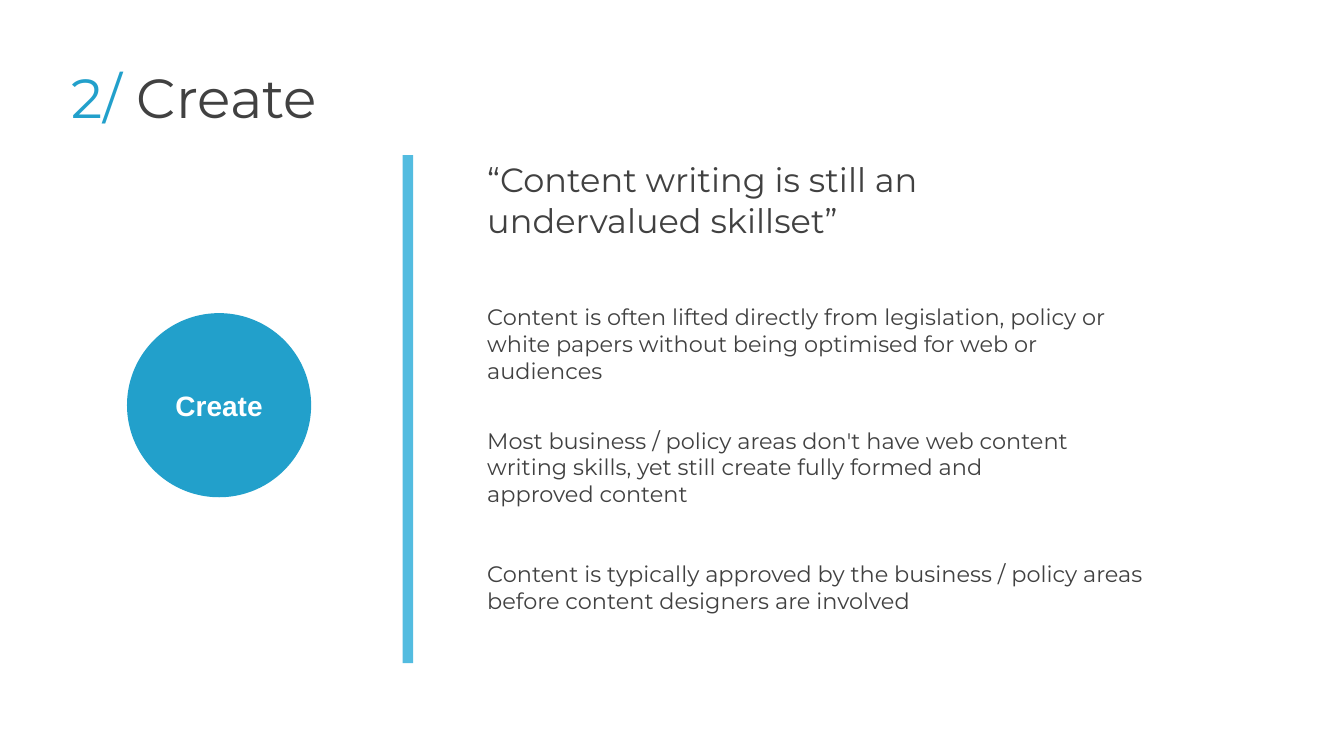
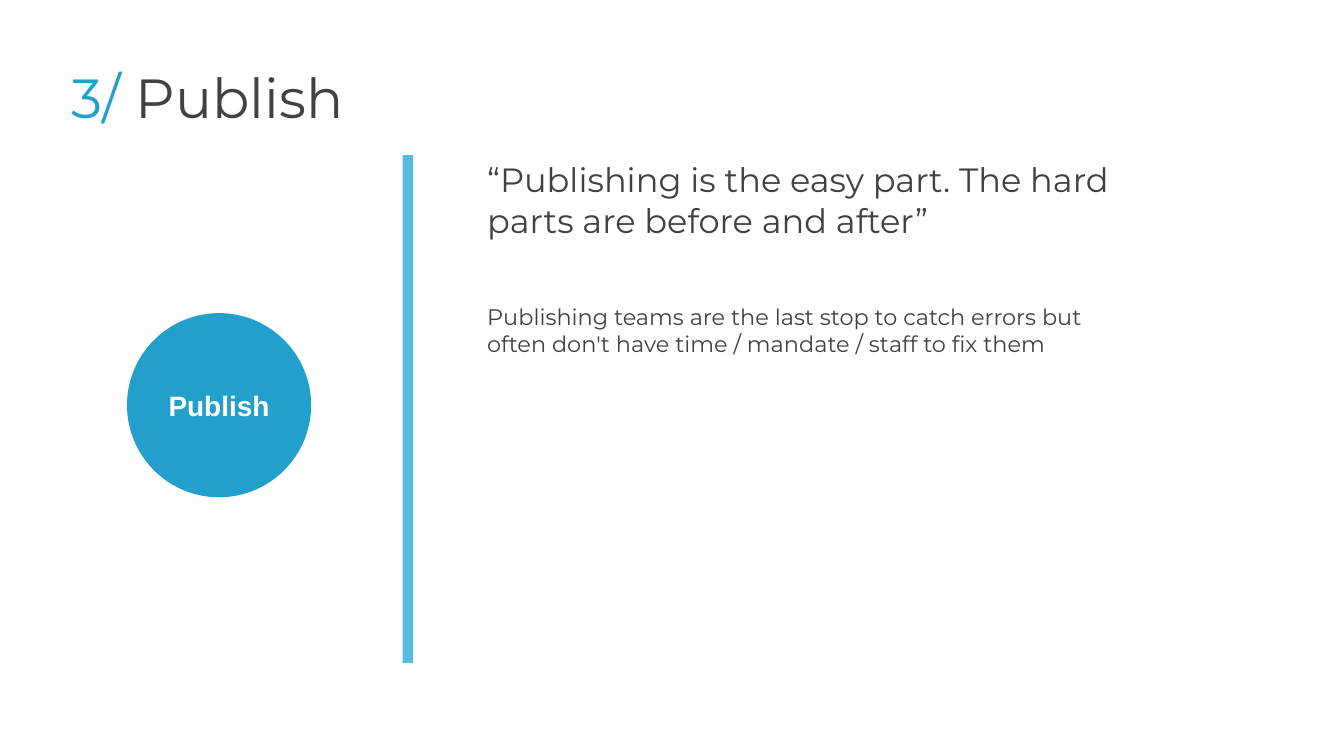
from pptx import Presentation
from pptx.dml.color import RGBColor
from pptx.enum.shapes import MSO_SHAPE
from pptx.enum.text import MSO_ANCHOR, PP_ALIGN
from pptx.util import Pt

STAGES = [
    {
        "number": "2/ ",
        "name": "Create",
        "quote": "“Content writing is still an undervalued skillset”",
        "findings": [
            "Content is often lifted directly from legislation, policy or white papers "
            "without being optimised for web or audiences",
            "Most business / policy areas don't have web content writing skills, "
            "yet still create fully formed and approved content",
            "Content is typically approved by the business / policy areas "
            "before content designers are involved",
        ],
    },
    {
        "number": "3/ ",
        "name": "Publish",
        "quote": "“Publishing is the easy part. The hard parts are before and after”",
        "findings": [
            "Publishing teams are the last stop to catch errors but often don't have "
            "time / mandate / staff to fix them",
        ],
    },
]

COLORS = {"bar": "53BCE0", "accent": "22A0CB", "text": "414141", "white": "FFFFFF"}
HEADING_FONT = "Montserrat"
LABEL_FONT = "Arial"

SLIDE_SIZE = (1440, 810)
TITLE_BOX = (74.2, 64.8, 876.2, 80)
BAR_BOX = (431.3, 166.3, 11.5, 544.3)
CIRCLE_BOX = (136.1, 335.5, 197.3, 197.3)
LABEL_HEIGHT = 71.3
TEXT_LEFT = 519.1
QUOTE_BOX = (TEXT_LEFT, 167.8, 691.2, 159.1)
FINDING_BOXES = [
    (TEXT_LEFT, 321.8, 673.9, 109.4),
    (TEXT_LEFT, 454.3, 638.6, 103.7),
    (TEXT_LEFT, 596.9, 709.2, 79.9),
]


def color(name):
    return RGBColor.from_string(COLORS[name])


def add_block(slide, kind, box, fill):
    shape = slide.shapes.add_shape(kind, *map(Pt, box))
    shape.shadow.inherit = False
    shape.fill.solid()
    shape.fill.fore_color.rgb = color(fill)
    shape.line.fill.background()


def add_text(slide, box, runs, size, font=HEADING_FONT, inset=2.9):
    frame = slide.shapes.add_textbox(*map(Pt, box)).text_frame
    frame.word_wrap = True
    frame.margin_left = frame.margin_right = Pt(inset)
    frame.margin_top = frame.margin_bottom = Pt(inset)
    paragraph = frame.paragraphs[0]
    paragraph.font.size = Pt(size)
    paragraph.font.name = font
    for text, run_color in runs:
        run = paragraph.add_run()
        run.text = text
        run.font.color.rgb = color(run_color)
    return frame


def add_label(slide, name):
    left, top, width, height = CIRCLE_BOX
    box = (left, top + (height - LABEL_HEIGHT) / 2, width, LABEL_HEIGHT)
    frame = add_text(slide, box, [(name, "white")], 30, LABEL_FONT, inset=7.2)
    frame.vertical_anchor = MSO_ANCHOR.MIDDLE
    frame.paragraphs[0].alignment = PP_ALIGN.CENTER
    frame.paragraphs[0].font.bold = True


def add_stage(presentation, stage):
    slide = presentation.slides.add_slide(presentation.slide_layouts[6])
    add_block(slide, MSO_SHAPE.RECTANGLE, BAR_BOX, "bar")
    title = [(stage["number"], "accent"), (stage["name"], "text")]
    add_text(slide, TITLE_BOX, title, 59)
    add_block(slide, MSO_SHAPE.OVAL, CIRCLE_BOX, "accent")
    add_label(slide, stage["name"])
    add_text(slide, QUOTE_BOX, [(stage["quote"], "text")], 36)
    for box, finding in zip(FINDING_BOXES, stage["findings"]):
        add_text(slide, box, [(finding, "text")], 24)


def main():
    presentation = Presentation()
    presentation.slide_width, presentation.slide_height = map(Pt, SLIDE_SIZE)
    for stage in STAGES:
        add_stage(presentation, stage)
    presentation.save("out.pptx")


if __name__ == "__main__":
    main()
